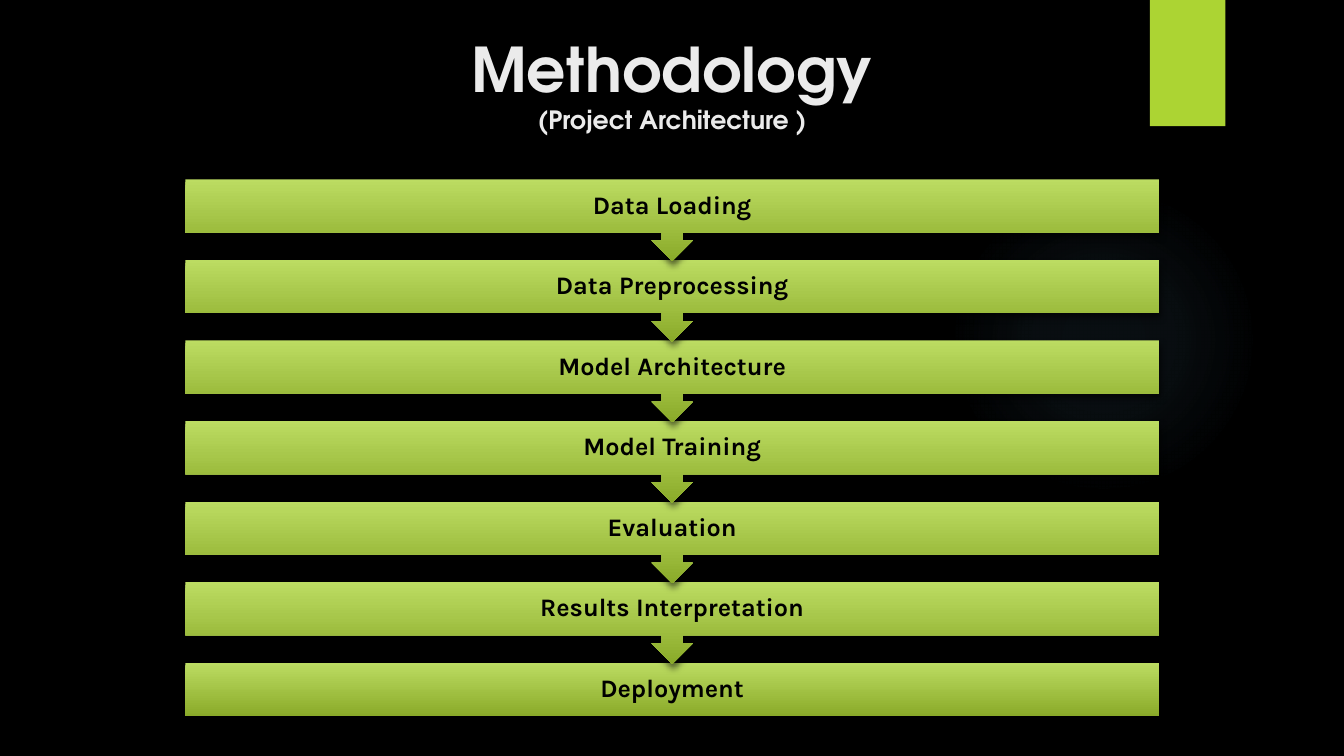
"""Build the methodology slide: a title above a chain of project steps."""
import pptx
import pptx.dml.color
import pptx.enum.shapes
import pptx.enum.text
import pptx.oxml
import pptx.oxml.ns
import pptx.util

Cm = pptx.util.Cm
Pt = pptx.util.Pt
Preset = pptx.enum.shapes.MSO_SHAPE
Anchor = pptx.enum.text.MSO_ANCHOR
CENTER = pptx.enum.text.PP_ALIGN.CENTER

TITLE = "Methodology"
SUBTITLE = "(Project Architecture )"
STEPS = [
    "Data Loading",
    "Data Preprocessing",
    "Model Architecture",
    "Model Training",
    "Evaluation",
    "Results Interpretation",
    "Deployment",
]

BACKGROUND = "000000"
STEP_GRADIENT = ["BCDC62", "8AAA29"]
TAB_COLOR = "ACD433"
GLOW_COLOR = "7AC4F0"
GLOW_STOPS = [(0, 7), (36, 6), (69, 0)]
TITLE_FONT = {"name": "TeX Gyre Adventor", "bold": True, "color": "EBEBEB"}
STEP_FONT = {"name": "Karla", "bold": True, "size": Pt(18), "color": "000000"}
STEP_FRAME = {
    "word_wrap": True,
    "vertical_anchor": Anchor.MIDDLE,
    "margin_left": Cm(0.36),
    "margin_right": Cm(0.36),
    "margin_top": Cm(0.36),
    "margin_bottom": Cm(0.36),
}

LEFT, WIDTH = 4.67, 24.54
STEP_TOP, STEP_PITCH = 4.52, 2.03
BAR_HEIGHT, CALLOUT_HEIGHT = 1.35, 2.06


def rgb(value):
    """Turn a hex string into a colour."""
    return pptx.dml.color.RGBColor.from_string(value)


def set_attributes(target, values):
    """Set each attribute named in a dict."""
    for name, value in values.items():
        setattr(target, name, value)


def format_font(font, values):
    """Apply font values, with the colour given as hex."""
    set_attributes(font, {key: value for key, value in values.items() if key != "color"})
    font.color.rgb = rgb(values["color"])


def add_shape(slide, preset, left, top, width, height):
    """Add a shape without outline or shadow, placed in centimetres."""
    shape = slide.shapes.add_shape(preset, Cm(left), Cm(top), Cm(width), Cm(height))
    shape.line.fill.background()
    shape.shadow.inherit = False
    return shape


def add_shadow(shape, blur, distance, opacity):
    """Cast a black shadow straight down."""
    effects = shape._element.spPr.find(pptx.oxml.ns.qn("a:effectLst"))
    effects.append(pptx.oxml.parse_xml(
        f'<a:outerShdw {pptx.oxml.ns.nsdecls("a")} blurRad="{Pt(blur)}" dist="{Pt(distance)}" '
        f'dir="5400000" rotWithShape="0"><a:srgbClr val="000000">'
        f'<a:alpha val="{opacity * 1000}"/></a:srgbClr></a:outerShdw>'))


def add_glow(slide):
    """Add the faint round glow at the right."""
    glow = add_shape(slide, Preset.OVAL, 23.9, 4.65, 7.82, 7.82)
    glow.fill.background()
    stops = "".join(
        f'<a:gs pos="{position * 1000}"><a:srgbClr val="{GLOW_COLOR}">'
        f'<a:alpha val="{opacity * 1000}"/></a:srgbClr></a:gs>'
        for position, opacity in GLOW_STOPS)
    gradient = pptx.oxml.parse_xml(
        f'<a:gradFill {pptx.oxml.ns.nsdecls("a")}><a:gsLst>{stops}</a:gsLst>'
        '<a:path path="circle"><a:fillToRect l="50000" t="50000" r="50000" b="50000"/></a:path>'
        '</a:gradFill>')
    properties = glow._element.spPr
    properties.replace(properties.find(pptx.oxml.ns.qn("a:noFill")), gradient)


def add_tab(slide):
    """Add the green tab at the top edge."""
    tab = add_shape(slide, Preset.RECTANGLE, 28.98, 0, 1.9, 3.18)
    tab.fill.solid()
    tab.fill.fore_color.rgb = rgb(TAB_COLOR)
    add_shadow(tab, 3, 2, 45)


def fill_title(title):
    """Place the title and write its two lines."""
    set_attributes(title, {"left": Cm(LEFT), "top": Cm(0.64),
                           "width": Cm(WIDTH), "height": Cm(3.89)})
    set_attributes(title.text_frame, {"word_wrap": True, "vertical_anchor": Anchor.TOP})
    paragraph = title.text_frame.paragraphs[0]
    paragraph.alignment = CENTER
    for text, size in [(TITLE, 44), (SUBTITLE, 18)]:
        if paragraph.runs:
            paragraph.add_line_break()
        run = paragraph.add_run()
        run.text = text
        format_font(run.font, {**TITLE_FONT, "size": Pt(size)})


def add_step(slide, index, text):
    """Add one step; all but the last point to the next."""
    is_last = index == len(STEPS) - 1
    preset = Preset.RECTANGLE if is_last else Preset.DOWN_ARROW_CALLOUT
    height = BAR_HEIGHT if is_last else CALLOUT_HEIGHT
    step = add_shape(slide, preset, LEFT, STEP_TOP + index * STEP_PITCH, WIDTH, height)
    step.fill.gradient()
    step.fill.gradient_angle = 270
    for stop, color, position in zip(step.fill.gradient_stops, STEP_GRADIENT, (0, 1)):
        stop.color.rgb = rgb(color)
        stop.position = position
    add_shadow(step, 5, 3, 60)
    set_attributes(step.text_frame, STEP_FRAME)
    paragraph = step.text_frame.paragraphs[0]
    set_attributes(paragraph, {"alignment": CENTER, "line_spacing": 0.9})
    run = paragraph.add_run()
    run.text = text
    format_font(run.font, STEP_FONT)


def main():
    """Create the presentation and save it."""
    presentation = pptx.Presentation()
    set_attributes(presentation, {"slide_width": Cm(33.87), "slide_height": Cm(19.05)})
    slide = presentation.slides.add_slide(presentation.slide_layouts[5])
    slide.background.fill.solid()
    slide.background.fill.fore_color.rgb = rgb(BACKGROUND)
    add_glow(slide)
    add_tab(slide)
    fill_title(slide.shapes.title)
    for index, text in reversed(list(enumerate(STEPS))):
        add_step(slide, index, text)
    presentation.save("out.pptx")


if __name__ == "__main__":
    main()
